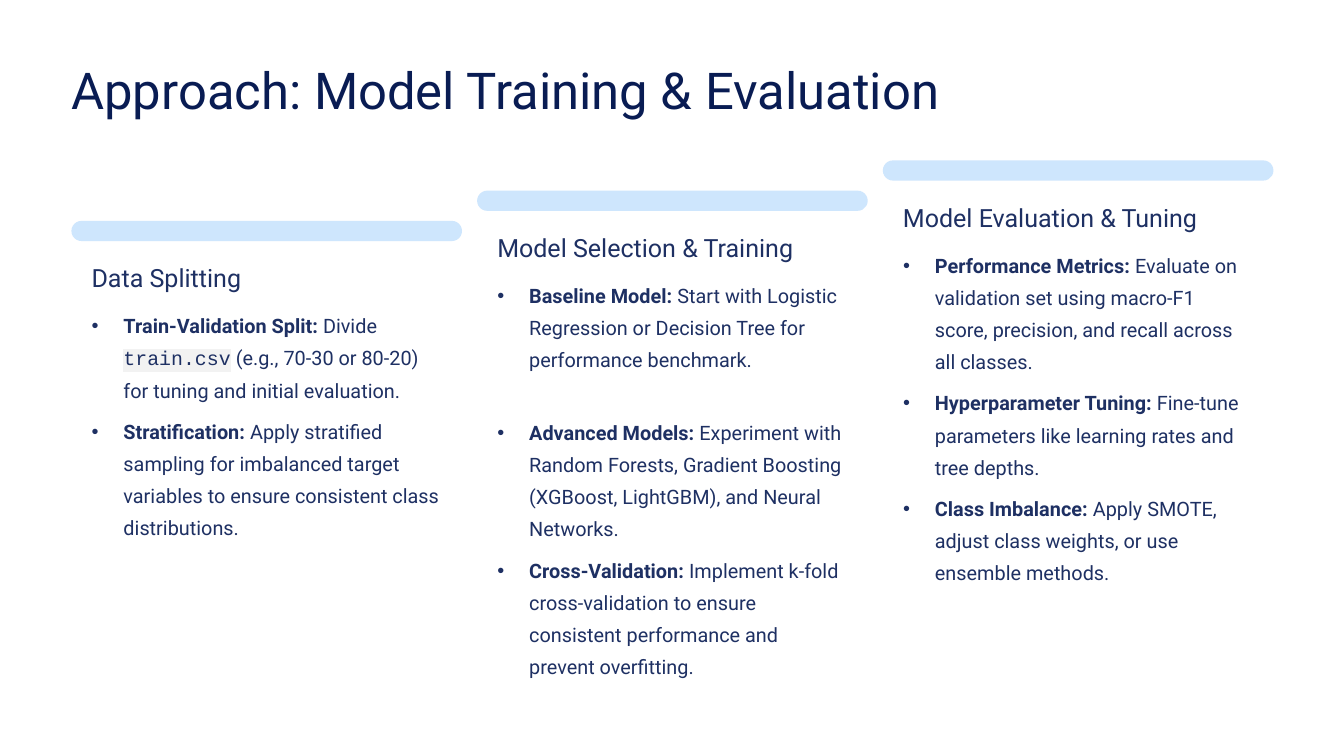
from lxml.etree import SubElement
from pptx import Presentation
from pptx.dml.color import RGBColor
from pptx.enum.shapes import MSO_SHAPE as Shape
from pptx.enum.text import MSO_ANCHOR as Anchor, MSO_AUTO_SIZE as AutoSize, PP_ALIGN as Align
from pptx.oxml.ns import qn
from pptx.util import Inches, Pt

NAVY, INK, SKY, GREY = "091C53", "1E3063", "CEE6FD", "F2F2F2"
ITEM_GAP, WIDE_GAP = 7.9, 35

COLUMNS = [
    ("Data Splitting", [
        (0, [("Train-Validation Split:", "bold"), (" Divide ", ""), ("train.csv", "code"),
             (" (e.g., 70-30 or 80-20) for tuning and initial evaluation.", "")]),
        (ITEM_GAP, [("Stratification:", "bold"),
                    (" Apply stratified sampling for imbalanced target variables "
                     "to ensure consistent class distributions.", "")]),
    ]),
    ("Model Selection & Training", [
        (0, [("Baseline Model:", "bold"),
             (" Start with Logistic Regression or Decision Tree "
              "for performance benchmark.", "")]),
        (WIDE_GAP, [("Advanced Models:", "bold"),
                    (" Experiment with Random Forests, Gradient Boosting "
                     "(XGBoost, LightGBM), and Neural Networks.", "")]),
        (ITEM_GAP, [("Cross-Validation:", "bold"),
                    (" Implement k-fold cross-validation to ensure consistent "
                     "performance and prevent overfitting.", "")]),
    ]),
    ("Model Evaluation & Tuning", [
        (0, [("Performance Metrics:", "bold"),
             (" Evaluate on validation set using macro-F1 score, precision, "
              "and recall across all classes.", "")]),
        (ITEM_GAP, [("Hyperparameter Tuning:", "bold"),
                    (" Fine-tune parameters like learning rates and tree depths.", "")]),
        (ITEM_GAP, [("Class Imbalance:", "bold"),
                    (" Apply SMOTE, adjust class weights, or use ensemble methods.", "")]),
    ]),
]


def rgb(value):
    """Turn a hex string into a colour."""
    return RGBColor.from_string(value)


class Deck:
    """Holds the style and the current slide."""

    def __init__(self, prs):
        """Add a slide with a title and several body placeholders."""
        self.font, self.mono = "Roboto", "Courier New"
        self.slide = prs.slides.add_slide(prs.slide_layouts[4])
        self.bodies = [ph for ph in self.slide.placeholders if ph.placeholder_format.idx]

    def frame(self, sp, x, y, w, h):
        """Place a text shape and clear its margins."""
        sp.left, sp.top, sp.width, sp.height = map(Inches, (x, y, w, h))
        tf = sp.text_frame
        tf.margin_left = tf.margin_right = tf.margin_top = tf.margin_bottom = 0
        tf.word_wrap, tf.auto_size = True, AutoSize.NONE
        tf.vertical_anchor = Anchor.TOP
        return tf

    def paragraph(self, p, spacing, before=0):
        """Set alignment and spacing of a paragraph."""
        p.alignment, p.line_spacing = Align.LEFT, Pt(spacing)
        p.space_before, p.space_after = Pt(before), Pt(0)

    def style(self, r, size, color, kind=""):
        """Format a run as plain, bold or code text."""
        r.font.size, r.font.bold = Pt(size), kind == "bold"
        r.font.color.rgb = rgb(color)
        r.font.name = self.mono if kind == "code" else self.font
        if kind == "code":
            rPr = r.font._element
            highlight = SubElement(rPr, qn("a:highlight"))
            SubElement(highlight, qn("a:srgbClr"), val=GREY)
            rPr.find(qn("a:solidFill")).addnext(highlight)

    def line(self, sp, text, box, size, spacing, color):
        """Write a single line of text in a shape."""
        tf = self.frame(sp, *box)
        tf.text = text
        p = tf.paragraphs[0]
        self.paragraph(p, spacing)
        self.style(p.runs[0], size, color)

    def title(self, text):
        """Fill the title placeholder."""
        self.line(self.slide.shapes.title, text, (0.85, 0.67, 10.99, 0.76), 43.5, 54, NAVY)

    def heading(self, text, x, y):
        """Add a column heading."""
        sp = self.slide.shapes.add_textbox(0, 0, 0, 0)
        self.line(sp, text, (x, y, 4.16, 0.38), 21.5, 27, INK)

    def bar(self, x, y):
        """Add a rounded bar above a column."""
        sp = self.slide.shapes.add_shape(
            Shape.ROUNDED_RECTANGLE, Inches(x), Inches(y), Inches(4.65), Inches(0.24))
        sp.adjustments[0] = 0.5
        sp.shadow.inherit = False
        sp.fill.solid()
        sp.fill.fore_color.rgb = rgb(SKY)
        sp.line.fill.background()

    def bullets(self, sp, items, x, y):
        """Fill a body placeholder with a bulleted list."""
        tf = self.frame(sp, x, y, 4.16, 4.81)
        for i, (gap, parts) in enumerate(items):
            p = tf.add_paragraph() if i else tf.paragraphs[0]
            self.paragraph(p, 27.5, gap)
            pPr = p._p.get_or_add_pPr()
            pPr.set("marL", str(Inches(0.38)))
            pPr.set("indent", str(-Inches(0.38)))
            SubElement(pPr, qn("a:buChar"), char="•")
            for text, kind in parts:
                r = p.add_run()
                r.text = text
                self.style(r, 17, INK, kind)


def main():
    """Build and save the slide."""
    prs = Presentation()
    prs.slide_width, prs.slide_height = Inches(16), Inches(9)
    deck = Deck(prs)
    deck.title("Approach: Model Training & Evaluation")
    for i, (name, items) in enumerate(COLUMNS):
        x, y = 0.85 + 4.83 * i, 2.63 - 0.36 * i
        deck.bar(x, y)
        deck.heading(name, x + 0.24, y + 0.48)
        deck.bullets(deck.bodies[i], items, x + 0.24, y + 1.01)
    for sp in deck.bodies[len(COLUMNS):]:
        sp.element.getparent().remove(sp.element)
    prs.save("out.pptx")


if __name__ == "__main__":
    main()
